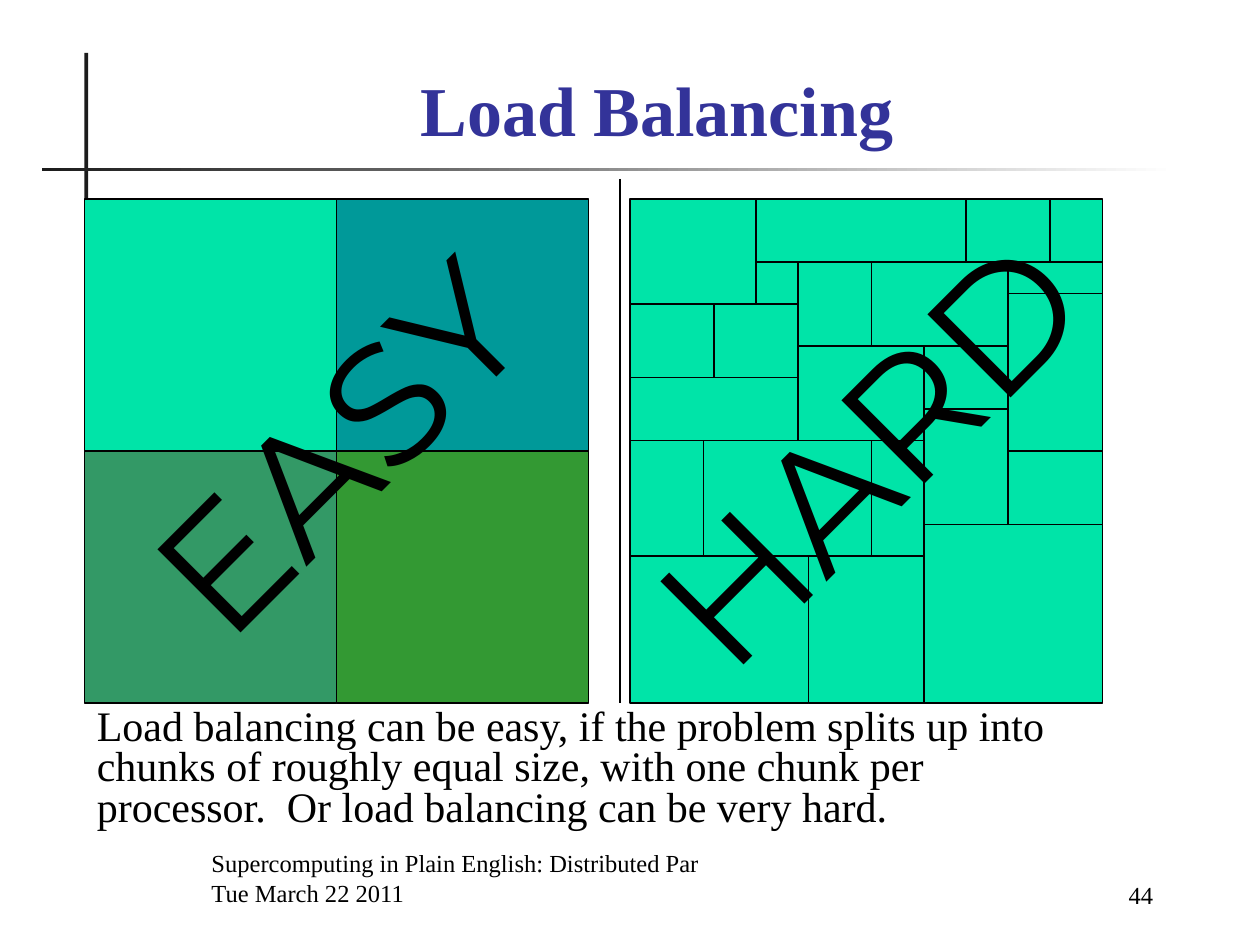
from pptx import Presentation
from pptx.dml.color import RGBColor
from pptx.enum.shapes import MSO_CONNECTOR as Conn, MSO_SHAPE as Kind
from pptx.enum.text import MSO_ANCHOR as Anchor, PP_ALIGN as Align
from pptx.oxml.ns import qn
from pptx.util import Inches, Pt
from lxml import etree

HEX = {"ink": "000000", "bar": "1C1C1C", "white": "FFFFFF", "title": "333399",
       "mint": "00E4A8", "teal": "009999", "sea": "339966", "leaf": "339933"}
SERIF, SANS = "Times New Roman", "Montserrat"

# Uneven chunks as column, row, width, height in twelfths of an inch
CHUNKS = [
    (0, 0, 12, 10), (12, 0, 20, 6), (32, 0, 8, 6), (40, 0, 5, 6),
    (12, 6, 4, 4), (16, 6, 7, 8), (23, 6, 13, 8), (36, 6, 9, 3),
    (0, 10, 8, 7), (8, 10, 8, 7), (36, 9, 9, 15), (16, 14, 12, 9),
    (28, 14, 8, 6), (0, 17, 16, 6), (28, 20, 8, 11), (0, 23, 7, 11),
    (7, 23, 16, 11), (23, 23, 5, 11), (36, 24, 9, 7), (28, 31, 17, 17),
    (0, 34, 17, 14), (17, 34, 11, 14),
]


def color(name):
    return RGBColor.from_string(HEX[name])


def add_rect(slide, box, fill, edge=True):
    rect = slide.shapes.add_shape(Kind.RECTANGLE, *map(Inches, box))
    rect.shadow.inherit = False
    rect.fill.solid()
    rect.fill.fore_color.rgb = color(fill)
    if edge:
        rect.line.color.rgb = color("ink")
        rect.line.width = Pt(0.75)
    else:
        rect.line.fill.background()
    return rect


def add_text(slide, box, text, size, font=SERIF, tone="ink", bold=False,
             align=Align.LEFT, anchor=Anchor.TOP, space=None):
    label = slide.shapes.add_textbox(*map(Inches, box))
    frame = label.text_frame
    frame.word_wrap = True
    frame.vertical_anchor = anchor
    frame.text = text
    for para in frame.paragraphs:
        para.alignment = align
        if space:
            para.line_spacing = space
        for run in para.runs:
            run.font.name = font
            run.font.size = Pt(size)
            run.font.bold = bold
            run.font.color.rgb = color(tone)
    return label


def draw_head(slide, x, y, w):
    # Crossed bars, the long one fading to white
    add_rect(slide, (x + 0.34, y, 0.03, 1.15), "bar", edge=False)
    fade = add_rect(slide, (x, y + 0.91, w, 0.03), "bar", edge=False).fill
    fade.gradient()
    fade.gradient_angle = 0
    for stop, tone in zip(fade.gradient_stops, ("bar", "white")):
        stop.color.rgb = color(tone)
    fade.gradient_stops[0].position = 0
    fade.gradient_stops[1].position = 1
    add_text(slide, (x + 0.5, y + 0.08, 8.77, 0.74), "Load Balancing", 40,
             tone="title", bold=True, align=Align.CENTER, anchor=Anchor.BOTTOM)


def draw_easy(slide, x, y, side):
    # Four equal chunks
    half = side / 2
    for i, tone in enumerate(("mint", "teal", "sea", "leaf")):
        row, col = divmod(i, 2)
        add_rect(slide, (x + col * half, y + row * half, half, half), tone)


def draw_hard(slide, x, y, unit):
    for col, row, wide, high in CHUNKS:
        add_rect(slide, (x + col * unit, y + row * unit,
                         wide * unit, high * unit), "mint")


def draw_split(slide, x, top, end):
    line = slide.shapes.add_connector(
        Conn.STRAIGHT, Inches(x), Inches(top), Inches(x), Inches(end))
    line.line.color.rgb = color("ink")
    line.line.width = Pt(0.75)
    etree.SubElement(line._element.spPr, qn("a:effectLst"))


def draw_word(slide, box, word):
    label = add_text(slide, box, word, 96, font=SANS, align=Align.CENTER)
    label.rotation = 315


def draw_foot(slide, x, y):
    add_text(slide, (x, y, 6.08, 0.5),
             "Supercomputing in Plain English: Distributed Par\n"
             "Tue March 22 2011", 14, anchor=Anchor.BOTTOM)
    add_text(slide, (x + 6.25, y + 0.02, 1.42, 0.5), "44", 14,
             align=Align.RIGHT, anchor=Anchor.BOTTOM)


def main():
    deck = Presentation()
    deck.slide_width, deck.slide_height = Inches(10), Inches(7.5)
    slide = deck.slides.add_slide(deck.slide_layouts[6])

    draw_head(slide, 0.33, 0.42, 9)

    # Both domains, with a divider between them
    draw_easy(slide, 0.67, 1.58, 4)
    draw_hard(slide, 5, 1.58, 1 / 12)
    draw_split(slide, 4.92, 1.42, 5.58)

    add_text(slide, (0.67, 5.58, 8.17, 1.06),
             "Load balancing can be easy, if the problem splits up into chunks "
             "of roughly equal size, with one chunk per processor.  Or load "
             "balancing can be very hard.", 24, space=0.8)

    # Slanted words over the domains
    draw_word(slide, (0.5, 2.67, 4.33, 1.7), "EASY")
    draw_word(slide, (4.65, 2.71, 4.44, 1.7), "HARD")

    draw_foot(slide, 1.58, 6.75)
    deck.save("out.pptx")


if __name__ == "__main__":
    main()
